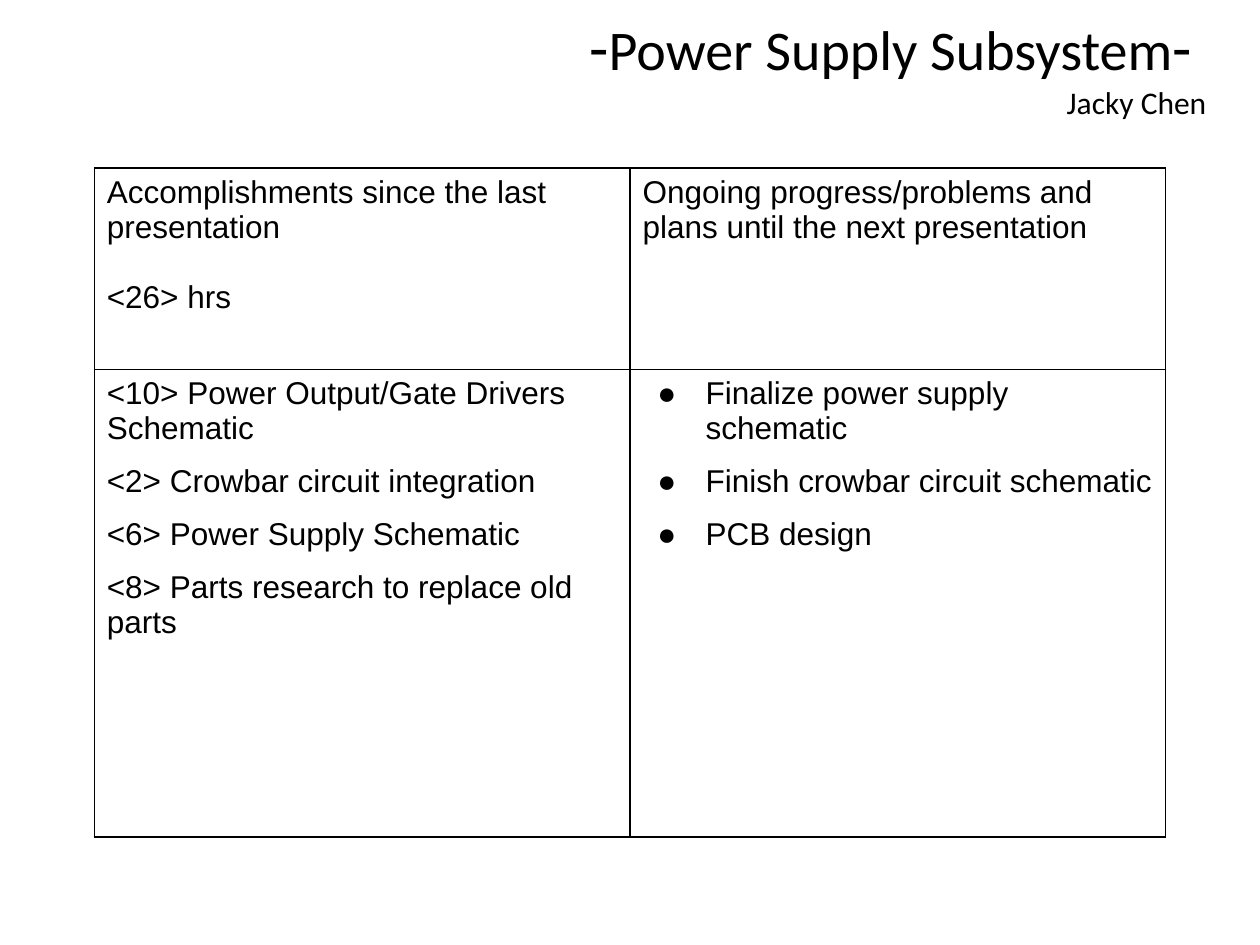
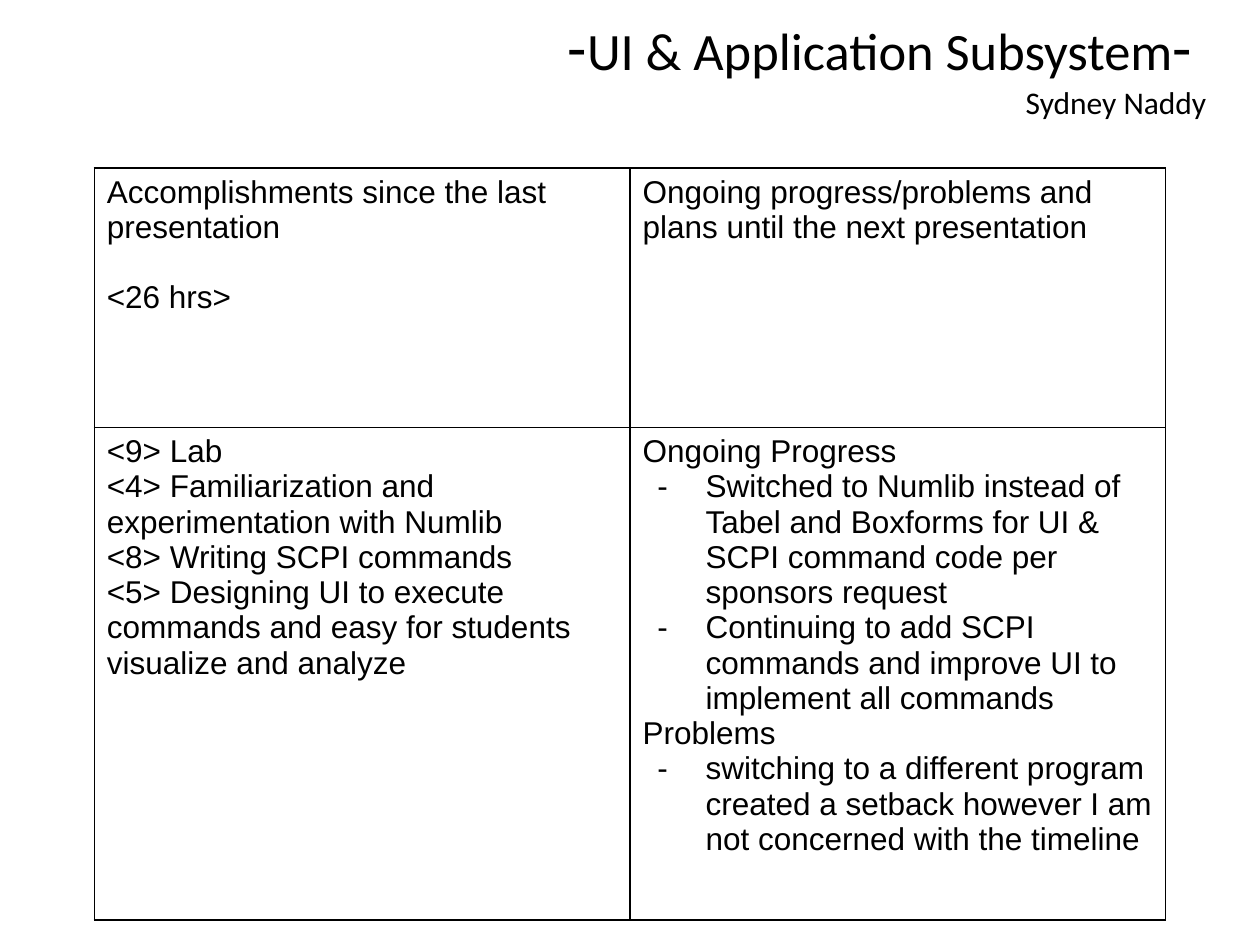
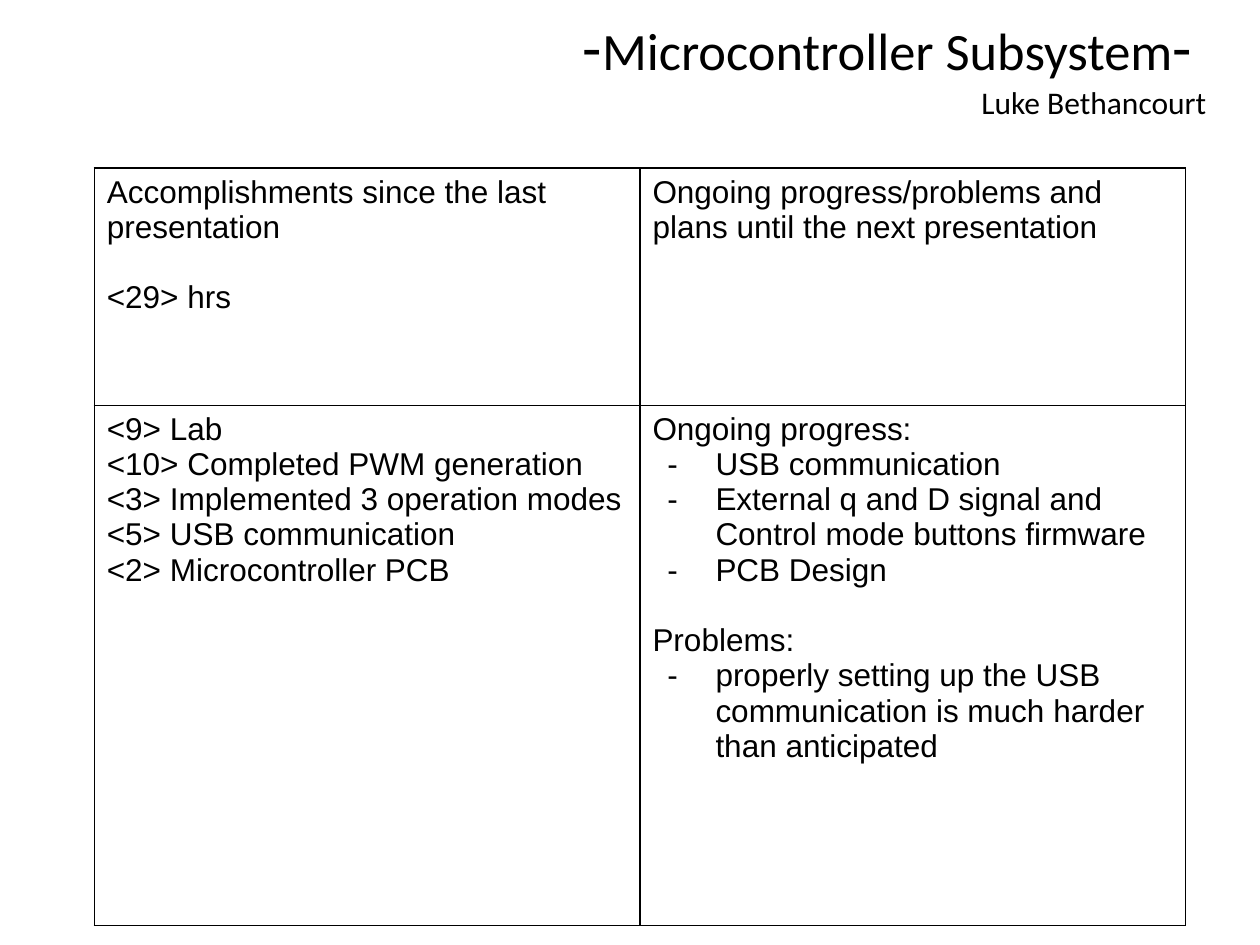
"""Build three subsystem status slides, each with a heading and a progress table."""
from dataclasses import dataclass

from lxml import etree
from pptx import Presentation
from pptx.dml.color import RGBColor
from pptx.enum.text import MSO_AUTO_SIZE, PP_ALIGN
from pptx.oxml.ns import qn
from pptx.util import Cm, Pt

RIGHT = PP_ALIGN.RIGHT
GROW = MSO_AUTO_SIZE.SHAPE_TO_FIT_TEXT


@dataclass(frozen=True)
class Theme:
    ink: str = "000000"
    heading_font: str = "Calibri"
    body_font: str = "Arial"
    dash_size: int = 36
    presenter_size: int = 18
    body_size: int = 18
    blank_line: int = 20
    border: int = 1


@dataclass(frozen=True)
class Line:
    text: str
    bullet: str = ""
    before: int = 0


THEME = Theme()
DONE = "Accomplishments since the last presentation"
PLANS = "Ongoing progress/problems and plans until the next presentation"

SUBSYSTEMS = [
    {
        "title": "Power Supply Subsystem", "title_size": 32,
        "presenter": "Jacky Chen", "hours": "<26> hrs",
        "column": 10.8, "rows": (4.06, 9.42),
        "done": [
            Line("<10> Power Output/Gate Drivers Schematic"),
            Line("<2> Crowbar circuit integration", before=10),
            Line("<6> Power Supply Schematic", before=10),
            Line("<8> Parts research to replace old parts", before=10),
        ],
        "plans": [
            Line("Finalize power supply schematic", "●"),
            Line("Finish crowbar circuit schematic", "●", 10),
            Line("PCB design", "●", 10),
        ],
    },
    {
        "title": "UI & Application Subsystem", "title_size": 30,
        "presenter": "Sydney Naddy", "hours": "<26 hrs>",
        "column": 10.8, "rows": (5.23, 9.93),
        "done": [
            Line("<9> Lab"),
            Line("<4> Familiarization and experimentation with Numlib"),
            Line("<8> Writing SCPI commands"),
            Line("<5> Designing UI to execute commands and easy for students "
                 "visualize and analyze"),
        ],
        "plans": [
            Line("Ongoing Progress"),
            Line("Switched to Numlib instead of Tabel and Boxforms for UI & "
                 "SCPI command code per sponsors request", "-"),
            Line("Continuing to add SCPI commands and improve UI to "
                 "implement all commands", "-"),
            Line("Problems"),
            Line("switching to a different program created a setback however "
                 "I am not concerned with the timeline", "-"),
        ],
    },
    {
        "title": "Microcontroller Subsystem", "title_size": 30,
        "presenter": "Luke Bethancourt", "hours": "<29> hrs",
        "column": 11.0, "rows": (4.78, 10.49),
        "done": [
            Line("<9> Lab"),
            Line("<10> Completed PWM generation"),
            Line("<3> Implemented 3 operation modes"),
            Line("<5> USB communication"),
            Line("<2> Microcontroller PCB"),
        ],
        "plans": [
            Line("Ongoing progress:"),
            Line("USB communication", "-"),
            Line("External q and D signal and Control mode buttons firmware", "-"),
            Line("PCB Design", "-"),
            Line("Problems:", before=THEME.blank_line),
            Line("properly setting up the USB communication is much harder "
                 "than anticipated", "-"),
        ],
    },
]


def set_font(paragraph, name, size=None):
    paragraph.font.name = name
    paragraph.font.color.rgb = RGBColor.from_string(THEME.ink)
    if size:
        paragraph.font.size = Pt(size)


def add_ink(parent):
    etree.SubElement(parent, qn("a:srgbClr"), val=THEME.ink)


def add_bullet(paragraph, mark):
    properties = paragraph._p.get_or_add_pPr()
    properties.set("marL", str(Cm(1.27)))
    properties.set("indent", str(-Cm(0.97)))
    add_ink(etree.SubElement(properties, qn("a:buClr")))
    etree.SubElement(properties, qn("a:buFont"), typeface=THEME.body_font)
    etree.SubElement(properties, qn("a:buChar"), char=mark)


def add_borders(cell):
    properties = cell._tc.get_or_add_tcPr()
    for side in ("a:lnL", "a:lnR", "a:lnT", "a:lnB"):
        edge = etree.SubElement(properties, qn(side), w=str(Pt(THEME.border)))
        add_ink(etree.SubElement(edge, qn("a:solidFill")))


def fill_cell(cell, lines):
    add_borders(cell)
    cell.fill.background()
    for index, line in enumerate(lines):
        frame = cell.text_frame
        paragraph = frame.add_paragraph() if index else frame.paragraphs[0]
        paragraph.add_run().text = line.text
        if line.bullet:
            add_bullet(paragraph, line.bullet)
        if line.before:
            paragraph.space_before = Pt(line.before)
        set_font(paragraph, THEME.body_font, THEME.body_size)


def add_heading(slide, subsystem):
    frame = slide.shapes.add_textbox(Cm(6.15), Cm(0.03), Cm(18.42), Cm(2.57)).text_frame
    frame.word_wrap = True
    frame.auto_size = GROW
    title = frame.paragraphs[0]
    for text, size in (("-", THEME.dash_size),
                       (subsystem["title"], subsystem["title_size"]),
                       ("- ", THEME.dash_size)):
        run = title.add_run()
        run.text = text
        run.font.size = Pt(size)
    set_font(title, THEME.heading_font)
    presenter = frame.add_paragraph()
    presenter.add_run().text = subsystem["presenter"]
    set_font(presenter, THEME.heading_font, THEME.presenter_size)
    for paragraph in (title, presenter):
        paragraph.alignment = RIGHT


def add_progress(slide, subsystem):
    grid = [
        ([Line(DONE), Line(subsystem["hours"], before=THEME.blank_line)], [Line(PLANS)]),
        (subsystem["done"], subsystem["plans"]),
    ]
    progress = slide.shapes.add_table(
        2, 2, Cm(1.9), Cm(3.39),
        Cm(2 * subsystem["column"]), Cm(sum(subsystem["rows"]))).table
    progress.first_row = False
    progress.horz_banding = False
    for row, height, contents in zip(progress.rows, subsystem["rows"], grid):
        row.height = Cm(height)
        for cell, lines in zip(row.cells, contents):
            fill_cell(cell, lines)


def main():
    deck = Presentation()
    deck.slide_width, deck.slide_height = Cm(25.4), Cm(19.05)
    for subsystem in SUBSYSTEMS:
        slide = deck.slides.add_slide(deck.slide_layouts[6])
        add_heading(slide, subsystem)
        add_progress(slide, subsystem)
    deck.save("out.pptx")


if __name__ == "__main__":
    main()
